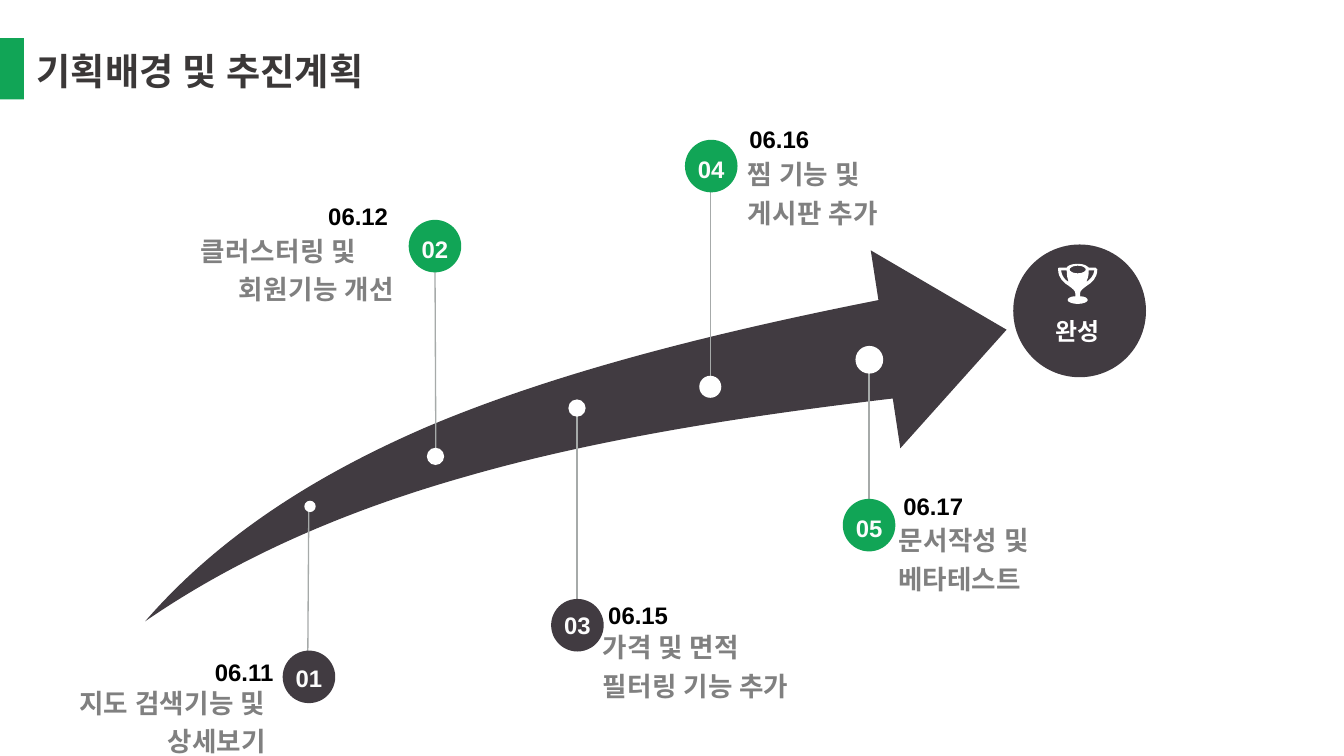
from dataclasses import dataclass

from lxml import etree
from pptx import Presentation
from pptx.dml.color import RGBColor
from pptx.enum import shapes, text
from pptx.oxml.ns import qn
from pptx.util import Pt

LEFT, CENTER, RIGHT = text.PP_ALIGN.LEFT, text.PP_ALIGN.CENTER, text.PP_ALIGN.RIGHT


@dataclass(frozen=True)
class Theme:
    green: str = "11A556"
    dark: str = "413B41"
    white: str = "FFFFFF"
    number: str = "FCFCFC"
    black: str = "000000"
    gray: str = "808080"
    line: str = "A6AAA9"
    title: str = "3B3838"
    latin: str = "Arial"
    korean: str = "Noto Sans CJK SC"
    title_size: int = 28
    caption_size: int = 20
    label_size: int = 18
    tracking: str = "25"


THEME = Theme()
SLIDE_SIZE = (1012.3, 569.5)
TITLE = "기획배경 및 추진계획"
TITLE_BOX = (20.2, 33, 286.6, 41.8)
TITLE_BAR = (0, 28.8, 18, 46)
BADGE_SIZE = 39.6

# Centres are x, y; stems are x, y, x, y; boxes are left, top, width, height.
MILESTONES = [
    dict(number="01", color=THEME.dark, badge=(232.7, 509.9), lift=3,
         dot=(233.5, 381.5), dot_size=8.6, stem=(231.8, 499.7, 232.6, 383),
         date="06.11", date_box=(91.4, 491.8, 114.5, 23.8), date_align=RIGHT,
         lines=["지도 검색기능 및", "상세보기"], hanging=0,
         caption_box=(37.4, 512.6, 162.7, 55.4), caption_align=RIGHT),
    dict(number="02", color=THEME.green, badge=(327.6, 185.4), lift=0,
         dot=(328, 343.8), dot_size=13, stem=(328.3, 339.8, 327.6, 192.2),
         date="06.12", date_box=(168.5, 149, 123.8, 23.8), date_align=RIGHT,
         lines=["클러스터링 및", "회원기능 개선"], hanging=28.5,
         caption_box=(151.4, 172.1, 150, 55.4), caption_align=LEFT),
    dict(number="03", color=THEME.dark, badge=(434.9, 471), lift=4.3,
         dot=(434.6, 307.4), dot_size=13, stem=(434.6, 452.2, 434.6, 310.3),
         date="06.15", date_box=(379.4, 449.3, 123.8, 23.8), date_align=RIGHT,
         lines=["가격 및 면적", "필터링 기능 추가"], hanging=0,
         caption_box=(453.8, 470.9, 162.7, 55.4), caption_align=LEFT),
    dict(number="04", color=THEME.green, badge=(535.7, 125.1), lift=0,
         dot=(535, 291.4), dot_size=16.6, stem=(535.2, 290.9, 535.2, 143.3),
         date="06.16", date_box=(564.5, 90.7, 105.8, 23.8), date_align=LEFT,
         lines=["찜 기능 및", "게시판 추가"], hanging=0,
         caption_box=(563.4, 114.5, 105.8, 55.4), caption_align=LEFT),
    dict(number="05", color=THEME.green, badge=(654.6, 395.6), lift=0,
         dot=(654.8, 271), dot_size=20.9, stem=(654.5, 377.3, 654.5, 279.4),
         date="06.17", date_box=(680.4, 367.2, 105.8, 23.8), date_align=LEFT,
         lines=["문서작성 및", "베타테스트"], hanging=0,
         caption_box=(676.8, 390.2, 105.8, 55.4), caption_align=LEFT),
]
GOAL = dict(label="완성", center=(813.2, 234.2), size=100, label_box=(774.7, 234.6, 73.4, 29.5))

# In an outline, two numbers are a corner and six are a Bézier curve.
ARROW = [[
    (109.4, 468), (161.3, 408.2, 231.1, 360.7, 321.1, 321.8),
    (412.6, 283, 527, 252.7, 661.7, 226.1), (655.9, 188.6), (758.2, 248.4),
    (678.2, 337.7), (672.5, 300.2), (550.1, 314.6, 442.1, 332.6, 349.9, 359.3),
    (256.3, 385.9, 176.4, 421.9, 109.4, 468),
]]
TROPHY_ORIGIN, TROPHY_SCALE = (797, 198.7), 0.72
TROPHY = [
    [(3, 7), (9, 7), (9, 13, 10, 16, 11, 19), (7, 17, 4, 13, 3, 7)],
    [(20.5, 2), (27, 2, 29, 5, 29, 6), (29, 7, 27, 10, 20.5, 10),
     (14, 10, 12, 7, 12, 6), (12, 5, 14, 2, 20.5, 2)],
    [(29.5, 19), (31, 16, 32, 13, 32, 7), (38, 7), (37, 13, 33, 17, 29.5, 19)],
    [(23, 31), (23, 28, 26, 26, 30, 23), (35, 20, 41, 15, 41, 6), (41, 5, 40, 4, 39, 4),
     (32, 4), (30, 2, 27, 0, 20.5, 0), (14, 0, 10, 2, 9, 4), (1, 4), (0, 4, 0, 5, 0, 6),
     (0, 15, 6, 20, 11, 23), (15, 26, 18, 28, 18, 31), (18, 34),
     (13, 34, 10, 36, 10, 38), (10, 40, 15, 42, 20.5, 42), (26, 42, 31, 40, 31, 38),
     (31, 36, 28, 34, 23, 34)],
]


def set_values(target, values):
    for name, value in values.items():
        setattr(target, name, value)


def paint(shape, color):
    shape.shadow.inherit = False
    shape.fill.solid()
    shape.fill.fore_color.rgb = RGBColor.from_string(color)
    shape.line.fill.background()


def write(frame, lines, size, color, align, spacing=1.2, anchor=text.MSO_ANCHOR.MIDDLE,
          margins=(0, 0), latin=THEME.latin, hanging=0):
    """Fill a frame with one paragraph; hanging indents every line but the first."""
    across, down = map(Pt, margins)
    set_values(frame, dict(word_wrap=True, auto_size=text.MSO_AUTO_SIZE.NONE,
                           vertical_anchor=anchor, margin_left=across, margin_right=across,
                           margin_top=down, margin_bottom=down))
    paragraph = frame.paragraphs[0]
    set_values(paragraph, dict(alignment=align, line_spacing=spacing, space_before=Pt(0)))
    if hanging:
        properties = paragraph._p.get_or_add_pPr()
        properties.set("marL", str(Pt(hanging)))
        properties.set("indent", str(-Pt(hanging)))
    for index, line in enumerate(lines):
        if index:
            paragraph.add_line_break()
        run = paragraph.add_run()
        run.text = line
        set_values(run.font, dict(size=Pt(size), bold=True, name=latin))
        run.font.color.rgb = RGBColor.from_string(color)
        run_properties = run._r.get_or_add_rPr()
        etree.SubElement(run_properties, qn("a:ea"), typeface=THEME.korean)
        if " " in line:
            run_properties.set("spc", THEME.tracking)


def add_text(slide, box, *content, **format_values):
    write(slide.shapes.add_textbox(*map(Pt, box)).text_frame, *content, **format_values)


def add_circle(slide, center, size, color):
    left, top = (value - size / 2 for value in center)
    shape = slide.shapes.add_shape(shapes.MSO_SHAPE.OVAL, *map(Pt, (left, top, size, size)))
    paint(shape, color)
    return shape


def bend(shape, contours):
    """Join each curve's three straight steps into one Bézier segment."""
    steps = iter(list(shape._element.iter(qn("a:lnTo"))))
    for contour in contours:
        for segment in contour[1:]:
            parts = [next(steps) for _ in range(len(segment) // 2)]
            if len(parts) == 3:
                curve = etree.Element(qn("a:cubicBezTo"))
                parts[0].addprevious(curve)
                for part in parts:
                    curve.append(part[0])
                    part.getparent().remove(part)


def add_outline(slide, contours, color, origin=(0, 0), scale=1):
    builder = None
    for contour in contours:
        start, *rest = [tuple(Pt(origin[axis] + scale * segment[first + axis]) for axis in (0, 1))
                        for segment in contour for first in range(0, len(segment), 2)]
        if builder is None:
            builder = slide.shapes.build_freeform(*start, scale=1.0)
        else:
            builder.move_to(*start)
        builder.add_line_segments(rest, close=True)
    shape = builder.convert_to_shape()
    bend(shape, contours)
    paint(shape, color)


def add_stem(slide, ends):
    stem = slide.shapes.add_connector(shapes.MSO_CONNECTOR.STRAIGHT, *map(Pt, ends))
    stem.line.color.rgb = RGBColor.from_string(THEME.line)
    stem.line.width = Pt(1)
    etree.SubElement(stem._element.spPr, qn("a:effectLst"))


def add_milestone(slide, item):
    add_stem(slide, item["stem"])
    add_circle(slide, item["dot"], item["dot_size"], THEME.white)
    badge = add_circle(slide, item["badge"], BADGE_SIZE, item["color"])
    write(badge.text_frame, [item["number"]], THEME.label_size, THEME.number, CENTER)
    badge.text_frame.margin_bottom = Pt(item["lift"])
    add_text(slide, item["date_box"], [item["date"]], THEME.label_size, THEME.black,
             item["date_align"])
    add_text(slide, item["caption_box"], item["lines"], THEME.caption_size, THEME.gray,
             item["caption_align"], anchor=text.MSO_ANCHOR.TOP, hanging=item["hanging"])


def main():
    presentation = Presentation()
    presentation.slide_width, presentation.slide_height = map(Pt, SLIDE_SIZE)
    slide = presentation.slides.add_slide(presentation.slide_layouts[5])

    title = slide.shapes.title
    set_values(title, dict(zip(("left", "top", "width", "height"), map(Pt, TITLE_BOX))))
    write(title.text_frame, [TITLE], THEME.title_size, THEME.title, LEFT, spacing=1.0,
          anchor=text.MSO_ANCHOR.TOP, margins=(7.2, 3.6), latin=THEME.korean)
    paint(slide.shapes.add_shape(shapes.MSO_SHAPE.RECTANGLE, *map(Pt, TITLE_BAR)), THEME.green)

    add_outline(slide, ARROW, THEME.dark)
    for item in MILESTONES:
        add_milestone(slide, item)

    add_circle(slide, GOAL["center"], GOAL["size"], THEME.dark)
    add_outline(slide, TROPHY, THEME.white, TROPHY_ORIGIN, TROPHY_SCALE)
    add_text(slide, GOAL["label_box"], [GOAL["label"]], THEME.label_size, THEME.white, CENTER,
             spacing=1.0)
    presentation.save("out.pptx")


if __name__ == "__main__":
    main()
